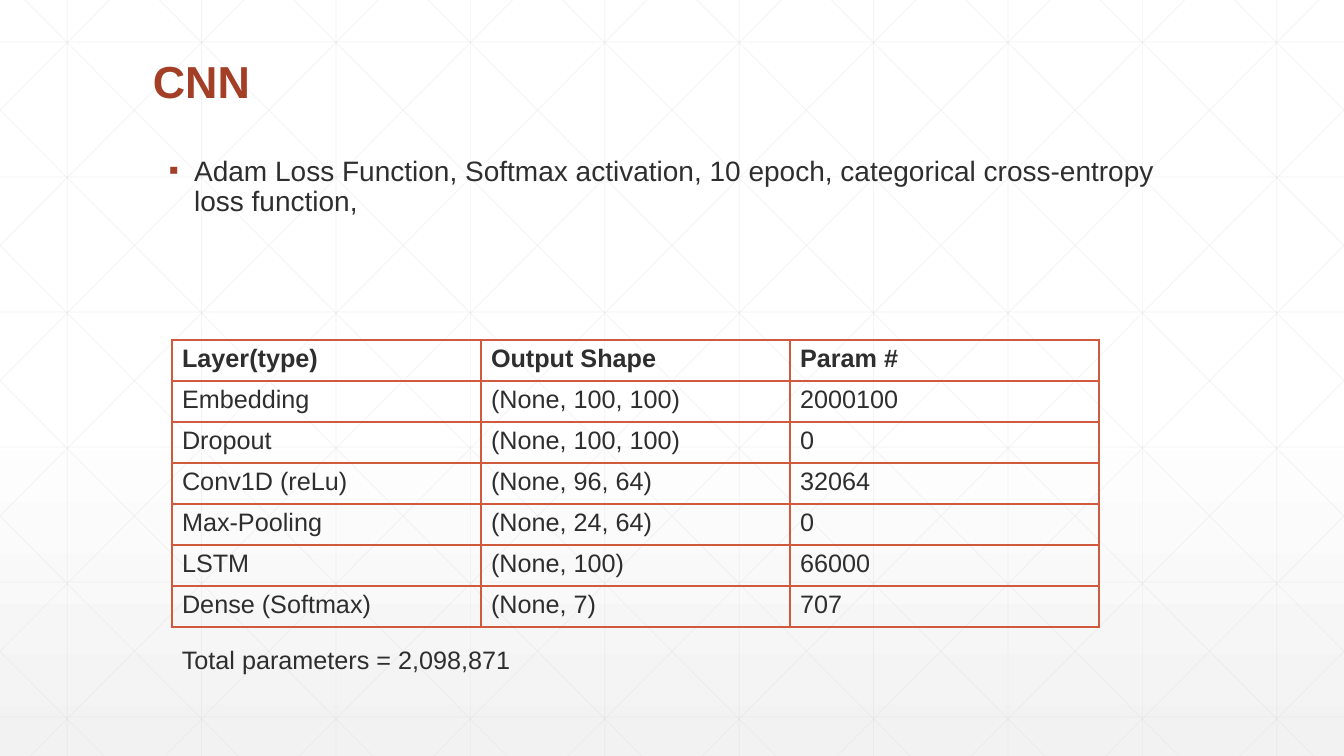
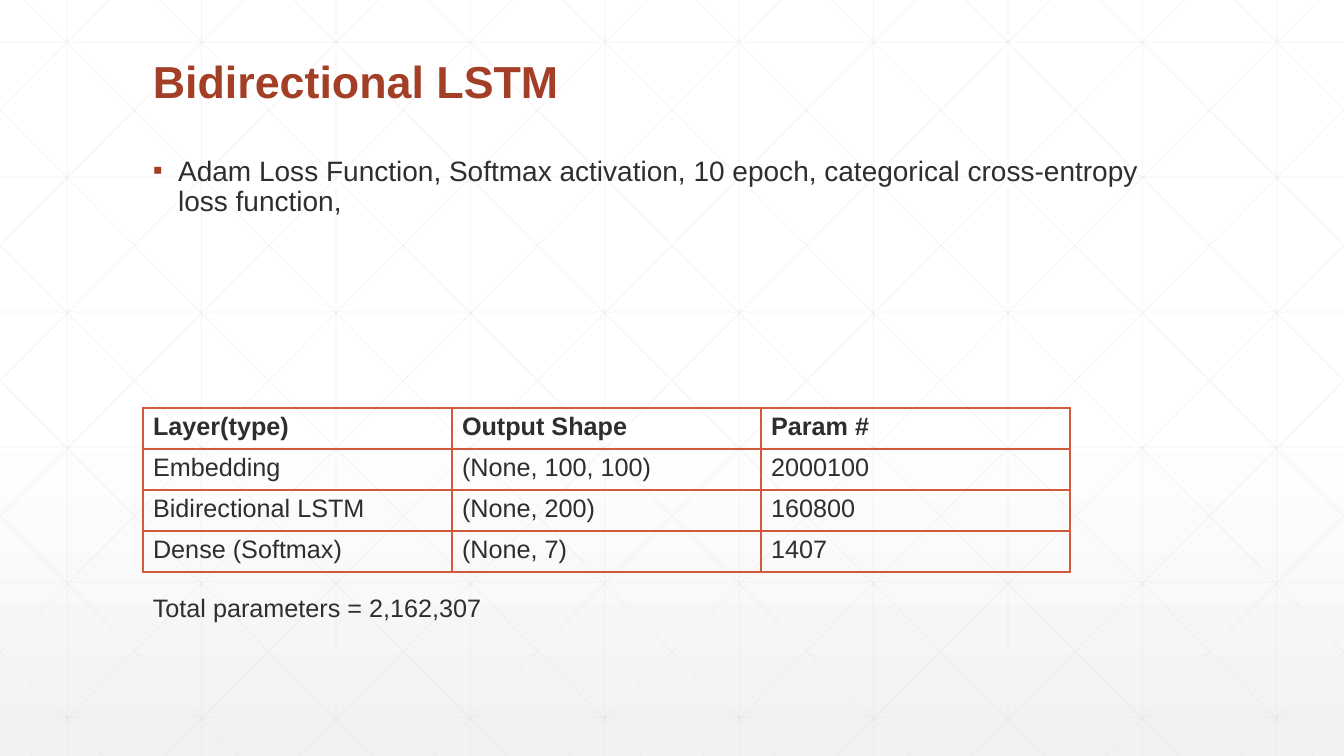
from lxml.etree import SubElement as Sub
from pptx import Presentation
from pptx.dml.color import RGBColor
from pptx.enum.shapes import MSO_CONNECTOR as Conn
from pptx.oxml import parse_xml
from pptx.oxml.ns import nsdecls, qn
from pptx.util import Pt

SCALE = 914400 / 100.8
WIDE, HIGH = 1344, 756
RED, EDGE, INK, GRID = "A43F27", "D15A3E", "2D2E2D", "D9D9D9"
HEAD = dict(size=Pt(32), bold=True)
BODY = dict(size=Pt(20), bold=False)
NOTE = dict(size=Pt(18), bold=False)
LABEL = dict(size=Pt(18), bold=True)


def px(n):
    """Turn pixels into EMU."""
    return round(n * SCALE)


def rgb(code):
    """Turn a hex string into a colour."""
    return RGBColor.from_string(code)


class Deck:
    """Holds the shared style and the current slide."""

    def __init__(self):
        """Set the slide size and dress the blank layout."""
        self.prs = Presentation()
        self.prs.slide_width, self.prs.slide_height = px(WIDE), px(HIGH)
        self.base = self.prs.slide_layouts[6]
        self.tree = self.base.shapes.element
        for holder in list(self.base.placeholders):
            self.tree.remove(holder.element)
        self.shade()
        self.page()
        self.grid()

    def page(self):
        """Start a new slide."""
        self.slide = self.prs.slides.add_slide(self.base)

    def shade(self):
        """Fade the background to pale grey at the foot."""
        fill = self.base.background.fill
        fill.gradient()
        fill.gradient_angle = 270
        stops = ((0.53, "FFFFFF"), (1, "F2F2F2"))
        for stop, (place, code) in zip(fill.gradient_stops, stops):
            stop.position = place
            stop.color.rgb = rgb(code)

    def rule(self, *ends):
        """Draw a faint line and move it to the layout."""
        line = self.slide.shapes.add_connector(Conn.STRAIGHT, *map(px, ends))
        line.line.width = Pt(0.5)
        line.line.color.rgb = rgb(GRID)
        for tint in line.element.iter(qn("a:srgbClr")):
            Sub(tint, qn("a:alpha"), val="30000")
        Sub(line.element.spPr, qn("a:effectLst"))
        self.tree.append(line.element)

    def grid(self):
        """Draw the upright, level and slanting lines behind all slides."""
        step, run = WIDE / 10, 751
        for i in range(10):
            x = step * (i + 0.5)
            self.rule(x, 0, x, HIGH)
        for i in range(6):
            y = 42 + 135 * i
            self.rule(0, y, WIDE, y)
        for i in range(-5, 10):
            x = 25 + step * i
            left, right = max(x, 0), min(x + run, WIDE)
            top, foot = (HIGH * (end - x) / run for end in (left, right))
            self.rule(left, top, right, foot)
            self.rule(WIDE - left, top, WIDE - right, foot)

    def style(self, para, text, code, form):
        """Put styled text in a paragraph."""
        run = para.add_run()
        run.text = text
        run.font.name = "Arial"
        run.font.color.rgb = rgb(code)
        for key, val in form.items():
            setattr(run.font, key, val)

    def text(self, box, text, code, form, space=1.0):
        """Add a wrapped text box and return its paragraph."""
        frame = self.slide.shapes.add_textbox(*map(px, box)).text_frame
        frame.word_wrap = True
        para = frame.paragraphs[0]
        para.line_spacing = space
        self.style(para, text, code, form)
        return para

    def title(self, text):
        """Add the slide title."""
        self.text((143, 55, 1058, 90), text, RED, HEAD, 0.9)

    def bullet(self, left, text):
        """Add body text with a small square bullet."""
        para = self.text((left, 152, 1058, 187), text, INK, BODY, 0.9)
        props = para._p.get_or_add_pPr()
        props.set("marL", "228600")
        props.set("indent", "-228600")
        Sub(Sub(props, qn("a:buClr")), qn("a:srgbClr"), val=RED)
        Sub(props, qn("a:buFont"), typeface="Arial")
        Sub(props, qn("a:buChar"), char="\u25aa")

    def table(self, left, top, rows):
        """Add a ruled table with a bold first row."""
        wide, high = 309, 41
        count, cols = len(rows), len(rows[0])
        spot = (left, top, wide * cols, high * count)
        frame = self.slide.shapes.add_table(count, cols, *map(px, spot))
        table = frame.table
        table.first_row = table.horz_banding = False
        for col in table.columns:
            col.width = px(wide)
        for r, row in enumerate(rows):
            table.rows[r].height = px(high)
            for c, text in enumerate(row):
                cell = table.cell(r, c)
                cell.fill.background()
                para = cell.text_frame.paragraphs[0]
                self.style(para, text, INK, NOTE if r else LABEL)
        for i, props in enumerate(frame.element.iter(qn("a:tcPr"))):
            self.edges(props, i // cols)

    def edges(self, props, row):
        """Draw the four borders of a cell, thicker under the first row."""
        for side in "LRTB":
            thick = (row, side) in ((0, "B"), (1, "T"))
            props[-1].addprevious(parse_xml(
                f'<a:ln{side} {nsdecls("a")} w="{Pt(2 if thick else 1)}">'
                f'<a:solidFill><a:srgbClr val="{EDGE}"/></a:solidFill>'
                f'</a:ln{side}>'))

    def model(self, name, indent, left, top, layers, total, foot):
        """Fill a slide with one model: settings, layers and total."""
        self.title(name)
        self.bullet(indent, "Adam Loss Function, Softmax activation, 10 epoch, "
                            "categorical cross-entropy loss function,")
        self.table(left, top, [("Layer(type)", "Output Shape", "Param #"),
                               ("Embedding", "(None, 100, 100)", "2000100"),
                               *layers])
        self.text((left, foot, 744, 40), f"Total parameters = {total}",
                  INK, NOTE)


deck = Deck()
deck.model("CNN", 159, 172, 340, [
    ("Dropout", "(None, 100, 100)", "0"),
    ("Conv1D (reLu)", "(None, 96, 64)", "32064"),
    ("Max-Pooling", "(None, 24, 64)", "0"),
    ("LSTM", "(None, 100)", "66000"),
    ("Dense (Softmax)", "(None, 7)", "707"),
], "2,098,871", 639)
deck.page()
deck.model("Bidirectional LSTM", 143, 143, 408, [
    ("Bidirectional LSTM", "(None, 200)", "160800"),
    ("Dense (Softmax)", "(None, 7)", "1407"),
], "2,162,307", 587)
deck.prs.save("out.pptx")
